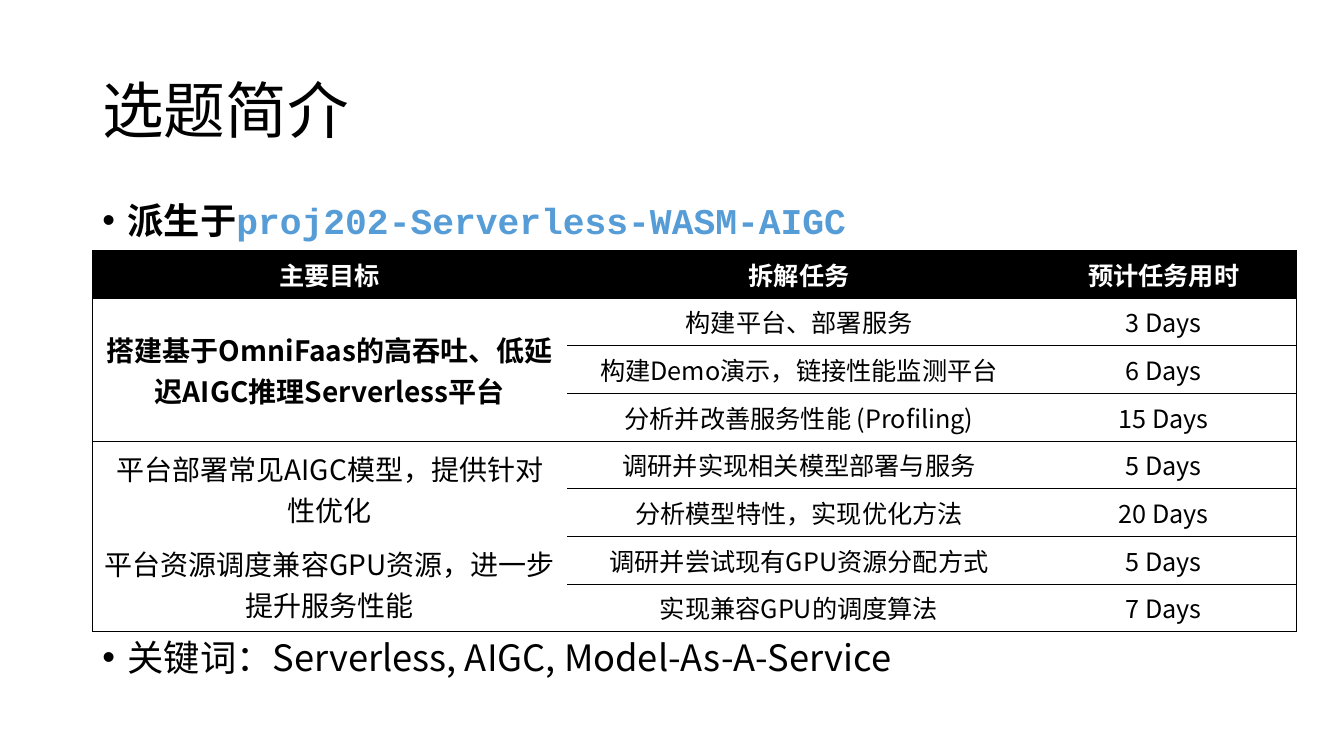
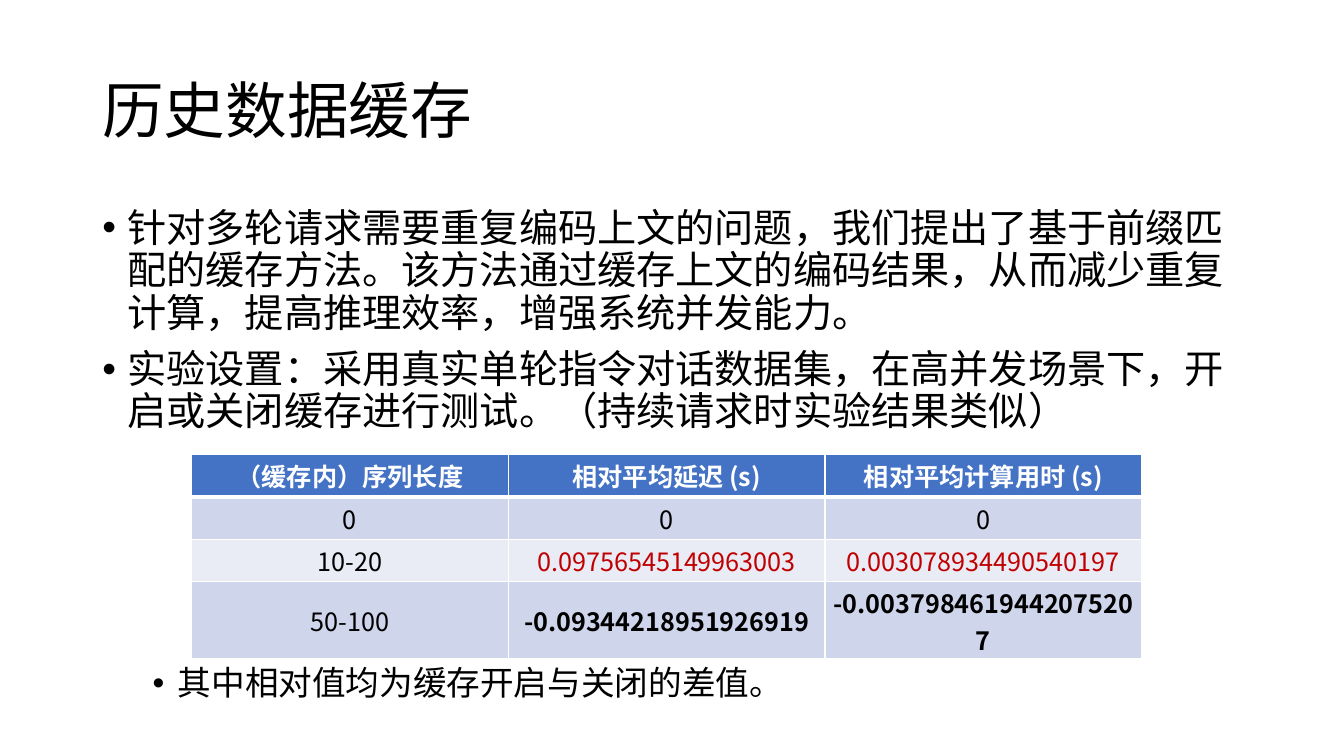
"""Build two slides: the topic outline and the history cache test."""
from dataclasses import dataclass, replace

from lxml import etree
from pptx import Presentation
from pptx.dml.color import RGBColor
from pptx.enum.text import MSO_ANCHOR, PP_ALIGN
from pptx.oxml.ns import qn
from pptx.slide import Slide
from pptx.table import Table, _Cell
from pptx.text.text import _Paragraph
from pptx.util import Emu, Inches, Pt

MIDDLE, TOP = MSO_ANCHOR.MIDDLE, MSO_ANCHOR.TOP
CENTER = PP_ALIGN.CENTER

WIDE, HIGH = Inches(13.33), Inches(7.5)
UNIT = HIGH / 18

BLACK = RGBColor(0x00, 0x00, 0x00)
WHITE = RGBColor(0xFF, 0xFF, 0xFF)
SKY = RGBColor(0x56, 0x9C, 0xD6)
BLUE = RGBColor(0x44, 0x72, 0xC4)
PALE = RGBColor(0xCF, 0xD5, 0xEA)
FAINT = RGBColor(0xE9, 0xEB, 0xF5)
RED = RGBColor(0xC0, 0x00, 0x00)

SANS, MONO = "Noto Sans CJK SC", "Courier New"
LEFT, SPAN = 2.2, 27.6
SIDES = "LRTB"


@dataclass(frozen=True)
class Run:
    """A piece of text in one style."""
    text: str
    size: float = 18
    color: RGBColor = BLACK
    bold: bool = False
    font: str = SANS


@dataclass(frozen=True)
class Point:
    """A bullet made of runs."""
    runs: tuple[Run, ...]
    level: int = 0


@dataclass(frozen=True)
class Box:
    """A place on the grid of 32 columns and 18 rows."""
    left: float
    top: float
    width: float
    height: float


@dataclass(frozen=True)
class Goal:
    """A main goal with its tasks, days and outer lines."""
    text: str
    tasks: tuple[tuple[str, int], ...]
    sides: str
    bold: bool = False


GOALS = (
    Goal("搭建基于OmniFaas的高吞吐、低延迟AIGC推理Serverless平台",
         (("构建平台、部署服务", 3), ("构建Demo演示，链接性能监测平台", 6),
          ("分析并改善服务性能 (Profiling)", 15)), "LTB", True),
    Goal("平台部署常见AIGC模型，提供针对性优化",
         (("调研并实现相关模型部署与服务", 5), ("分析模型特性，实现优化方法", 20)), "LT"),
    Goal("平台资源调度兼容GPU资源，进一步提升服务性能",
         (("调研并尝试现有GPU资源分配方式", 5), ("实现兼容GPU的调度算法", 7)), "LB"),
)

TESTS = (
    (Run("0"), Run("0"), Run("0")),
    (Run("10-20"), Run("0.09756545149963003", color=RED), Run("0.003078934490540197", color=RED)),
    (Run("50-100"), Run("-0.09344218951926919", bold=True),
     Run("-0.0037984619442075207", bold=True)),
)


def grid(count: float) -> Emu:
    """Turn grid units into a length."""
    return Emu(round(count * UNIT))


def place(box: Box) -> tuple[Emu, Emu, Emu, Emu]:
    """Give the four lengths of a box."""
    return grid(box.left), grid(box.top), grid(box.width), grid(box.height)


def write(para: _Paragraph, run: Run) -> None:
    """Add one run to a paragraph."""
    part = para.add_run()
    part.text = run.text
    font = part.font
    font.size, font.bold = Pt(run.size), run.bold
    font.color.rgb = run.color
    font.name = run.font
    etree.SubElement(font._element, qn("a:ea"), typeface=SANS)


def add_text(slide: Slide, box: Box, points: tuple[Point, ...], pace: float,
             anchor: MSO_ANCHOR = TOP, marked: bool = True) -> None:
    """Add a text box of points, with bullets if marked."""
    frame = slide.shapes.add_textbox(*place(box)).text_frame
    frame.word_wrap, frame.vertical_anchor = True, anchor
    for index, point in enumerate(points):
        para = frame.add_paragraph() if index else frame.paragraphs[0]
        para.line_spacing = pace
        if marked:
            para.space_before = Pt(5 if point.level else 10)
            props = para._p.get_or_add_pPr()
            props.set("marL", str(Inches(0.25 + point.level / 2)))
            props.set("indent", str(Inches(-0.25)))
            etree.SubElement(props, qn("a:buFont"), typeface="Arial")
            etree.SubElement(props, qn("a:buChar"), char="•")
        for run in point.runs:
            write(para, run)


def add_title(slide: Slide, text: str) -> None:
    """Add the slide title."""
    add_text(slide, Box(LEFT, 0.96, SPAN, 3.48), (Point((Run(text, 44),)),), 0.9, MIDDLE, False)


def add_grid(slide: Slide, left: float, top: float, cols: tuple[float, ...],
             rows: tuple[float, ...]) -> Table:
    """Add an empty table with the given columns and rows."""
    box = Box(left, top, sum(cols), sum(rows))
    table = slide.shapes.add_table(len(rows), len(cols), *place(box)).table
    table.horz_banding = False
    table.first_row = False
    for col, width in zip(table.columns, cols):
        col.width = grid(width)
    for row, height in zip(table.rows, rows):
        row.height = grid(height)
    return table


def fill_cell(cell: _Cell, run: Run, lines: dict[str, float], ink: RGBColor,
              fill: RGBColor | None = None) -> None:
    """Write a centred cell, its side lines and its fill."""
    cell.vertical_anchor = MIDDLE
    para = cell.text_frame.paragraphs[0]
    para.alignment = CENTER
    write(para, run)
    props = cell._tc.get_or_add_tcPr()
    for side in SIDES:
        width = lines.get(side, 0)
        line = etree.SubElement(props, qn(f"a:ln{side}"), w=str(Pt(width)))
        if width:
            solid = etree.SubElement(line, qn("a:solidFill"))
            etree.SubElement(solid, qn("a:srgbClr"), val=str(ink))
        else:
            etree.SubElement(line, qn("a:noFill"))
    if fill is None:
        cell.fill.background()
    else:
        cell.fill.solid()
        cell.fill.fore_color.rgb = fill


def add_goals(slide: Slide) -> None:
    """Add the table of goals, tasks and days."""
    count = 1 + sum(len(goal.tasks) for goal in GOALS)
    table = add_grid(slide, LEFT, 5.96, (11.3, 11.04, 6.32), (9.08 / count,) * count)

    def put(row: int, col: int, run: Run, sides: str, fill: RGBColor | None = None) -> None:
        """Fill one cell with thin black side lines."""
        fill_cell(table.cell(row, col), run, dict.fromkeys(sides, 0.5), BLACK, fill)

    heads = (("主要目标", "LTB"), ("拆解任务", "TB"), ("预计任务用时", "RTB"))
    for col, (text, sides) in enumerate(heads):
        put(0, col, Run(text, color=WHITE, bold=True), sides, BLACK)
    row = 1
    for goal in GOALS:
        last = row + len(goal.tasks) - 1
        table.cell(row, 0).merge(table.cell(last, 0))
        put(row, 0, Run(goal.text, 20, bold=goal.bold), goal.sides)
        for task, days in goal.tasks:
            put(row, 1, Run(task), "TB")
            put(row, 2, Run(f"{days} Days"), "RTB")
            row += 1


def add_tests(slide: Slide) -> None:
    """Add the banded table of test results."""
    heads = ("（缓存内）序列长度", "相对平均延迟 (s)", "相对平均计算用时 (s)")
    top = tuple(Run(text, color=WHITE, bold=True) for text in heads)
    table = add_grid(slide, 4.56, 10.82, (7.54,) * 3, (1.01, 1.01, 1.01, 1.84))
    fills = (BLUE, PALE, FAINT, PALE)
    for row, (runs, fill) in enumerate(zip((top, *TESTS), fills)):
        lines = dict.fromkeys(SIDES, 1)
        if row == 0:
            lines["B"] = 3
        elif row == 1:
            lines["T"] = 3
        for col, run in enumerate(runs):
            cell = table.cell(row, col)
            cell.margin_left = cell.margin_right = grid(0.12)
            cell.margin_top = cell.margin_bottom = grid(0.07)
            fill_cell(cell, run, lines, WHITE, fill)


def draw_topic(slide: Slide) -> None:
    """Draw the topic slide."""
    add_title(slide, "选题简介")
    base = Run("派生于", 25.9, bold=True, font=MONO)
    link = replace(base, text="proj202-Serverless-WASM-AIGC", color=SKY)
    add_text(slide, Box(LEFT, 4.8, SPAN, 1.15), (Point((base, link)),), 0.8)
    add_goals(slide)
    words = Run("关键词：Serverless, AIGC, Model-As-A-Service", 25.9)
    add_text(slide, Box(LEFT, 15.21, SPAN, 1.15), (Point((words,)),), 0.8)


def draw_cache(slide: Slide) -> None:
    """Draw the cache slide."""
    add_title(slide, "历史数据缓存")
    texts = (
        "针对多轮请求需要重复编码上文的问题，我们提出了基于前缀匹配的缓存方法。"
        "该方法通过缓存上文的编码结果，从而减少重复计算，提高推理效率，增强系统并发能力。",
        "实验设置：采用真实单轮指令对话数据集，在高并发场景下，开启或关闭缓存进行测试。"
        "（持续请求时实验结果类似）",
    )
    points = tuple(Point((Run(text, 28),)) for text in texts)
    add_text(slide, Box(LEFT, 4.85, SPAN, 5.8), points, 0.9)
    add_tests(slide)
    note = Point((Run("其中相对值均为缓存开启与关闭的差值。", 24),), 1)
    add_text(slide, Box(LEFT, 15.75, SPAN, 1.2), (note,), 0.9)


def main() -> None:
    """Build and save the deck."""
    deck = Presentation()
    deck.slide_width, deck.slide_height = WIDE, HIGH
    for draw in (draw_topic, draw_cache):
        draw(deck.slides.add_slide(deck.slide_layouts[6]))
    deck.save("out.pptx")


if __name__ == "__main__":
    main()
